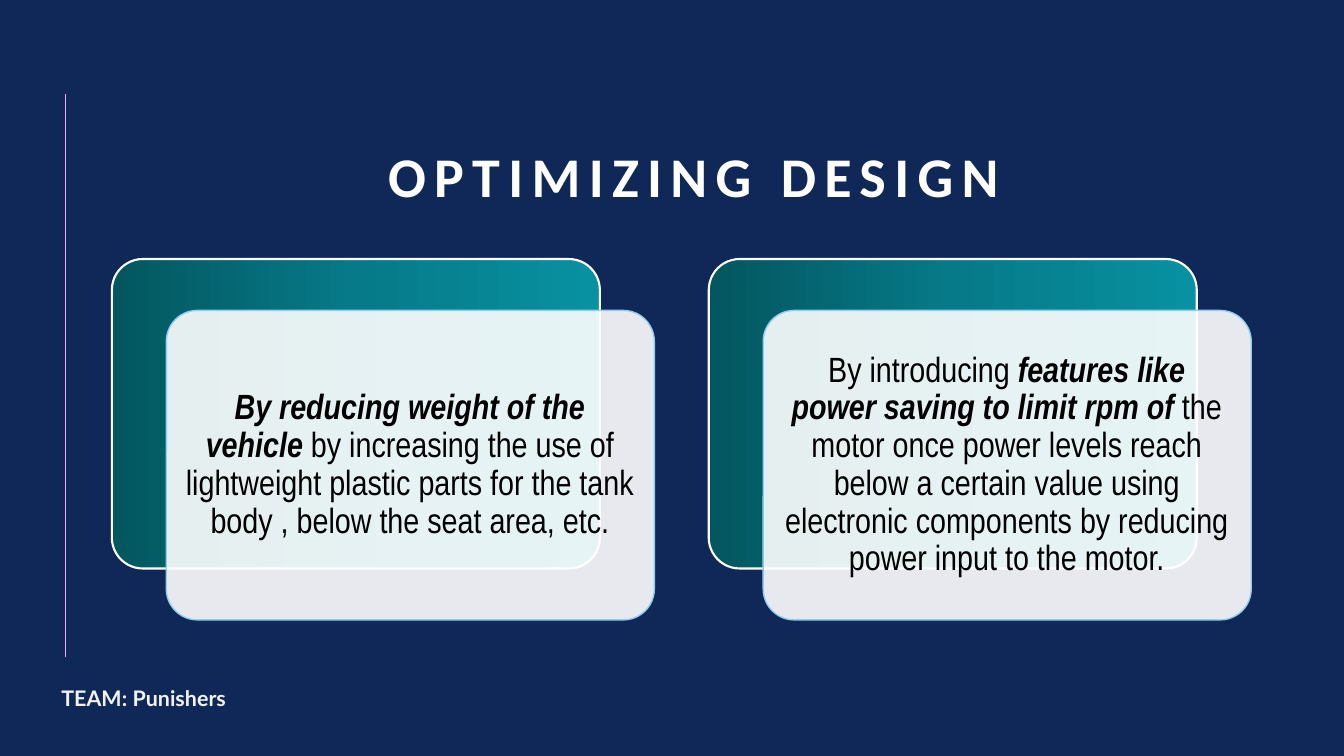
from copy import deepcopy
from dataclasses import dataclass

from pptx import Presentation
from pptx.dml.color import RGBColor
from pptx.enum.shapes import MSO_CONNECTOR, MSO_SHAPE
from pptx.enum.text import MSO_ANCHOR, MSO_AUTO_SIZE, PP_ALIGN
from pptx.oxml.ns import qn
from pptx.util import Inches, Pt
from lxml.etree import SubElement


@dataclass(frozen=True)
class Theme:
    """Colours, fonts and type sizes of the slide."""
    back: str = "102857"
    white: str = "FFFFFF"
    ink: str = "000000"
    rule: str = "F6A6F4"
    edge: str = "92CDF0"
    team: str = "F2F2F2"
    teal: tuple = ("04565F", "067A88", "0891A1")
    title_font: str = "Calibri"
    body_font: str = "Arial Narrow"
    team_font: str = "Lato"
    title_size: float = 40
    body_size: float = 25
    team_size: float = 15.3


T = Theme()
CARD_LEFT, CARD_TOP, CARD_STEP = 1.11, 2.57, 5.92
CARD_W, CARD_H = 4.84, 3.07
SHIFT_X, SHIFT_Y = 0.54, 0.51
CARDS = [
    [("By reducing weight of the vehicle", True),
     (" by increasing the use of lightweight plastic parts for the tank "
      "body , below the seat area, etc.", False)],
    [("By introducing", False),
     (" features like power saving to limit rpm of", True),
     (" the motor once power levels reach below a certain value using "
      "electronic components by reducing power input to the motor.", False)],
]


def rgb(code):
    """Return the colour for a hex code."""
    return RGBColor.from_string(code)


def add_run(p, text, font, size, color, bold=False, italic=False):
    """Append one formatted run to a paragraph."""
    r = p.add_run()
    r.text = text
    f = r.font
    f.name, f.size, f.bold, f.italic = font, Pt(size), bold, italic
    f.color.rgb = rgb(color)
    return r


def add_panel(s, left, top, line, width):
    """Add a rounded panel with an outline and no shadow."""
    sp = s.shapes.add_shape(MSO_SHAPE.ROUNDED_RECTANGLE, Inches(left),
                            Inches(top), Inches(CARD_W), Inches(CARD_H))
    sp.adjustments[0] = 0.1
    sp.shadow.inherit = False
    sp.line.color.rgb = rgb(line)
    sp.line.width = Pt(width)
    return sp


def fill_teal(sp):
    """Fill a panel with the left-to-right teal gradient."""
    sp.fill.gradient()
    sp.fill.gradient_angle = 0
    stops = sp.fill._fill._gradFill.find(qn("a:gsLst"))
    stops.insert(1, deepcopy(stops[0]))
    for i, (stop, code) in enumerate(zip(sp.fill.gradient_stops, T.teal)):
        stop.position = i / 2
        stop.color.rgb = rgb(code)


def fill_glass(sp):
    """Fill a panel with white at 90% opacity."""
    sp.fill.solid()
    sp.fill.fore_color.rgb = rgb(T.white)
    color = sp.fill._xPr.find(qn("a:solidFill"))[0]
    SubElement(color, qn("a:alpha"), val="90000")


def add_card(s, left, parts):
    """Add a teal panel with a text panel shifted over it."""
    fill_teal(add_panel(s, left, CARD_TOP, T.white, 1.5))
    sp = add_panel(s, left + SHIFT_X, CARD_TOP + SHIFT_Y, T.edge, 1)
    fill_glass(sp)
    tf = sp.text_frame
    tf.word_wrap = True
    tf.vertical_anchor = MSO_ANCHOR.MIDDLE
    tf.margin_left, tf.margin_right = Inches(0.1), Inches(0.11)
    tf.margin_top = tf.margin_bottom = Inches(0.1)
    p = tf.paragraphs[0]
    p.alignment = PP_ALIGN.CENTER
    p.line_spacing = 0.9
    for text, strong in parts:
        add_run(p, text, T.body_font, T.body_size, T.ink, strong, strong)


def add_title(s, text):
    """Place and format the title placeholder."""
    sp = s.shapes.title
    sp.left, sp.top = Inches(0.93), Inches(0.96)
    sp.width, sp.height = Inches(11.9), Inches(1.17)
    tf = sp.text_frame
    tf.auto_size = MSO_AUTO_SIZE.NONE
    tf.vertical_anchor = MSO_ANCHOR.BOTTOM
    p = tf.paragraphs[0]
    p.alignment = PP_ALIGN.CENTER
    p.line_spacing = 0.9
    r = add_run(p, text, T.title_font, T.title_size, T.white, bold=True)
    r.font._element.set("spc", "600")


def add_rule(s):
    """Add the thin vertical rule at the left."""
    line = s.shapes.add_connector(MSO_CONNECTOR.STRAIGHT, Inches(0.65),
                                  Inches(0.93), Inches(0.65), Inches(6.52))
    line.line.color.rgb = rgb(T.rule)
    line.line.width = Pt(0.5)
    SubElement(line._element.spPr, qn("a:effectLst"))


def add_team(s, text):
    """Add the team name at the bottom left."""
    sp = s.shapes.add_textbox(Inches(0.51), Inches(6.77),
                              Inches(2.55), Inches(0.3))
    tf = sp.text_frame
    tf.word_wrap = True
    tf.vertical_anchor = MSO_ANCHOR.MIDDLE
    add_run(tf.paragraphs[0], text, T.team_font, T.team_size, T.team, bold=True)


def main():
    """Build the slide and save it."""
    prs = Presentation()
    prs.slide_width, prs.slide_height = Inches(13.33), Inches(7.5)
    s = prs.slides.add_slide(prs.slide_layouts[5])
    s.background.fill.solid()
    s.background.fill.fore_color.rgb = rgb(T.back)
    add_rule(s)
    add_title(s, "OPTIMIZING DESIGN")
    for i, parts in enumerate(CARDS):
        add_card(s, CARD_LEFT + i * CARD_STEP, parts)
    add_team(s, "TEAM: Punishers")
    prs.save("out.pptx")


if __name__ == "__main__":
    main()
